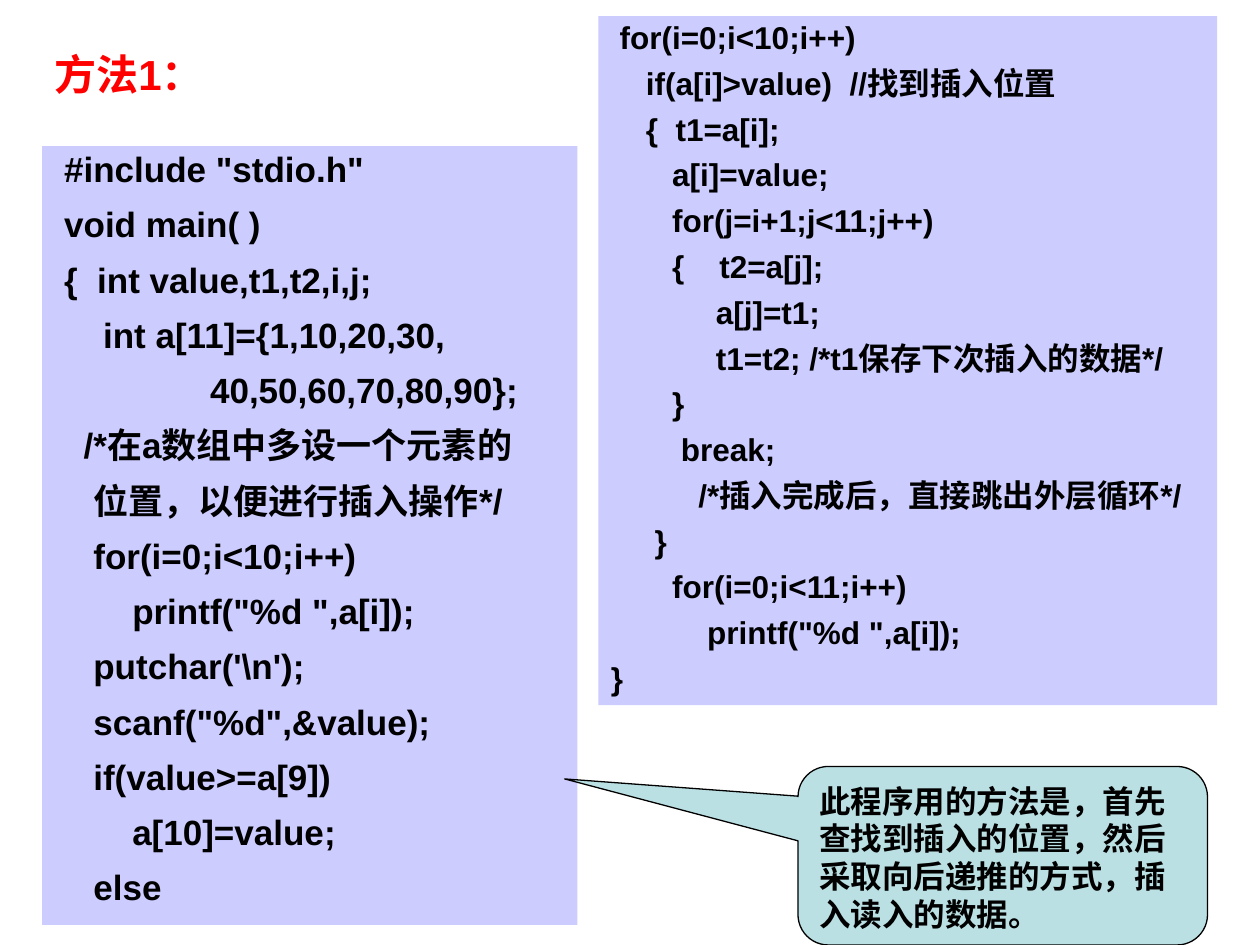
import pptx
import pptx.dml.color
import pptx.enum.shapes
import pptx.enum.text
import pptx.util

Pt = pptx.util.Pt
SHAPES = pptx.enum.shapes.MSO_SHAPE
COLORS = {"code": "CCCCFF", "callout": "BBE0E3", "title": "FF0000", "ink": "000000"}
SPACE_WIDTH = 0.278

DECLARATIONS = [
    (1, '#include "stdio.h"'),
    (1, "void main( )"),
    (1, "{  int value,t1,t2,i,j;"),
    (5, "int a[11]={1,10,20,30,"),
    (16, "40,50,60,70,80,90};"),
    (3, "/*在a数组中多设一个元素的"),
    (4, "位置，以便进行插入操作*/"),
    (4, "for(i=0;i<10;i++)"),
    (8, 'printf("%d ",a[i]);'),
    (4, r"putchar('\n');"),
    (4, 'scanf("%d",&value);'),
    (4, "if(value>=a[9])"),
    (8, "a[10]=value;"),
    (4, "else"),
]
INSERTION = [
    (1, "for(i=0;i<10;i++)"),
    (4, "if(a[i]>value)  //找到插入位置"),
    (4, "{  t1=a[i];"),
    (7, "a[i]=value;"),
    (7, "for(j=i+1;j<11;j++)"),
    (7, "{    t2=a[j];"),
    (12, "a[j]=t1;"),
    (12, "t1=t2; /*t1保存下次插入的数据*/"),
    (7, "}"),
    (8, "break;"),
    (10, "/*插入完成后，直接跳出外层循环*/"),
    (5, "}"),
    (7, "for(i=0;i<11;i++)"),
    (11, 'printf("%d ",a[i]);'),
    (0, "}"),
]


class SlideBuilder:
    """Draws the elements of one slide in a shared style."""

    font_name = "Arial"

    def __init__(self, slide):
        self.slide = slide

    def color(self, name):
        return pptx.dml.color.RGBColor.from_string(COLORS[name])

    def set_text(self, shape, lines, size, color="ink", spacing=1.0, before=0, after=0):
        frame = shape.text_frame
        frame.word_wrap = True
        frame.vertical_anchor = pptx.enum.text.MSO_ANCHOR.TOP
        for index, (indent, text) in enumerate(lines):
            paragraph = frame.add_paragraph() if index else frame.paragraphs[0]
            paragraph.text = text
            paragraph.alignment = pptx.enum.text.PP_ALIGN.LEFT
            paragraph.line_spacing = spacing
            paragraph.space_before = Pt(before)
            paragraph.space_after = Pt(after)
            paragraph.font.name = self.font_name
            paragraph.font.size = Pt(size)
            paragraph.font.bold = True
            paragraph.font.color.rgb = self.color(color)
            margin = Pt(indent * size * SPACE_WIDTH)
            paragraph._p.get_or_add_pPr().set("marL", str(margin))

    def filled_shape(self, kind, box, fill):
        shape = self.slide.shapes.add_shape(kind, *map(Pt, box))
        shape.shadow.inherit = False
        shape.fill.solid()
        shape.fill.fore_color.rgb = self.color(fill)
        return shape

    def code(self, box, lines, size, before, after):
        panel = self.filled_shape(SHAPES.RECTANGLE, box, "code")
        panel.line.fill.background()
        self.set_text(panel, lines, size, spacing=0.9, before=before, after=after)

    def title(self, box, text):
        shape = self.slide.shapes.add_textbox(*map(Pt, box))
        self.set_text(shape, [(0, text)], 24, "title", before=15)

    def callout(self, box, text, adjustments):
        shape = self.filled_shape(SHAPES.ROUNDED_RECTANGULAR_CALLOUT, box, "callout")
        for index, value in enumerate(adjustments):
            shape.adjustments[index] = value
        shape.line.color.rgb = self.color("ink")
        shape.line.width = Pt(0.74)
        self.set_text(shape, [(0, text)], 18, before=11.2)


presentation = pptx.Presentation()
presentation.slide_width = Pt(720)
presentation.slide_height = Pt(540)
builder = SlideBuilder(presentation.slides.add_slide(presentation.slide_layouts[6]))

builder.code((24, 83.5, 306, 445), DECLARATIONS, 20, before=5, after=5)
builder.code((342, 9.2, 353.6, 393.8), INSERTION, 18, before=4.5, after=2.2)
builder.title((24, 24, 113, 36), "方法1：")
builder.callout(
    (456, 438, 234, 102),
    "此程序用的方法是，首先查找到插入的位置，然后采取向后递推的方式，插入读入的数据。",
    (-1.07, -0.43, 0.17),
)

presentation.save("out.pptx")
